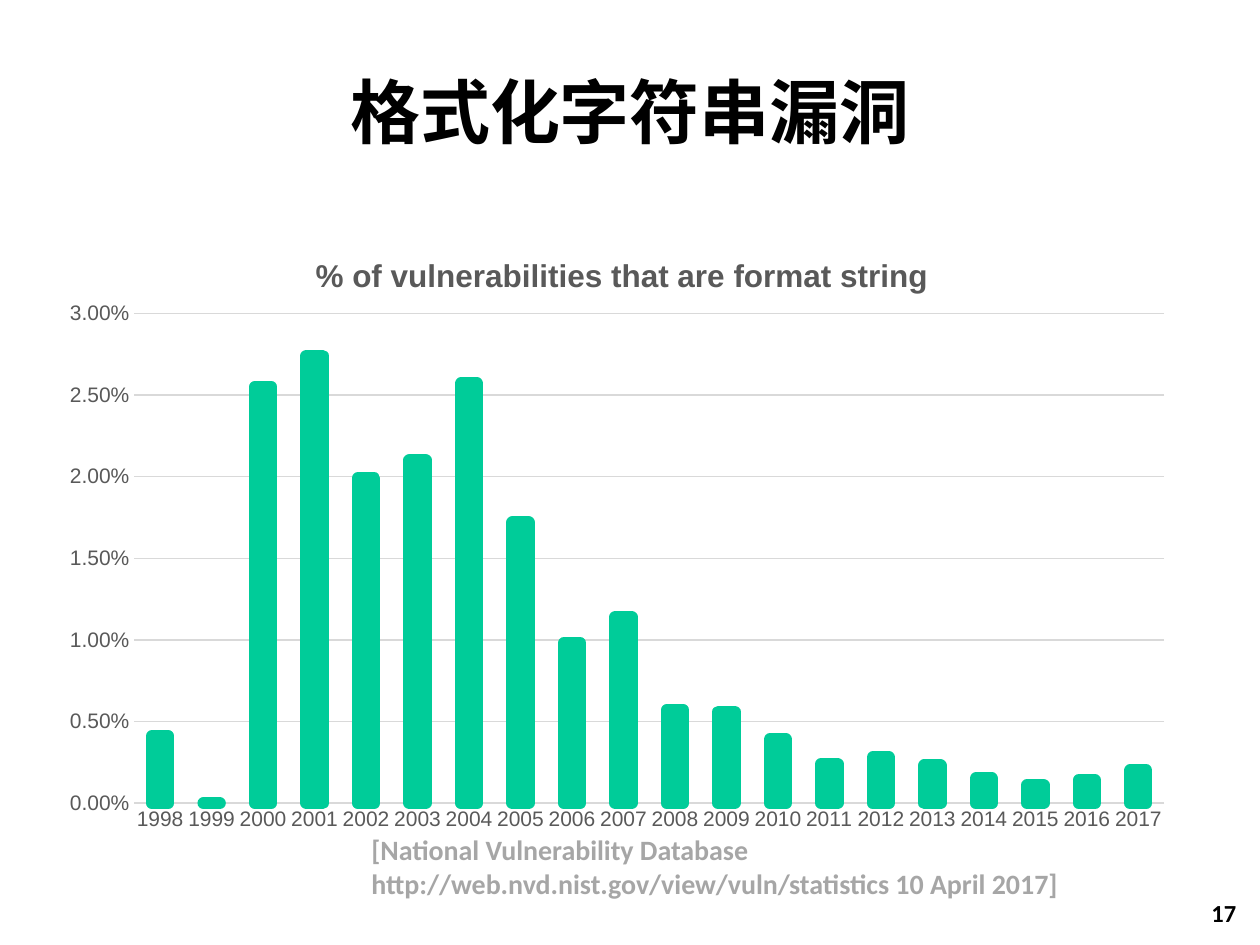
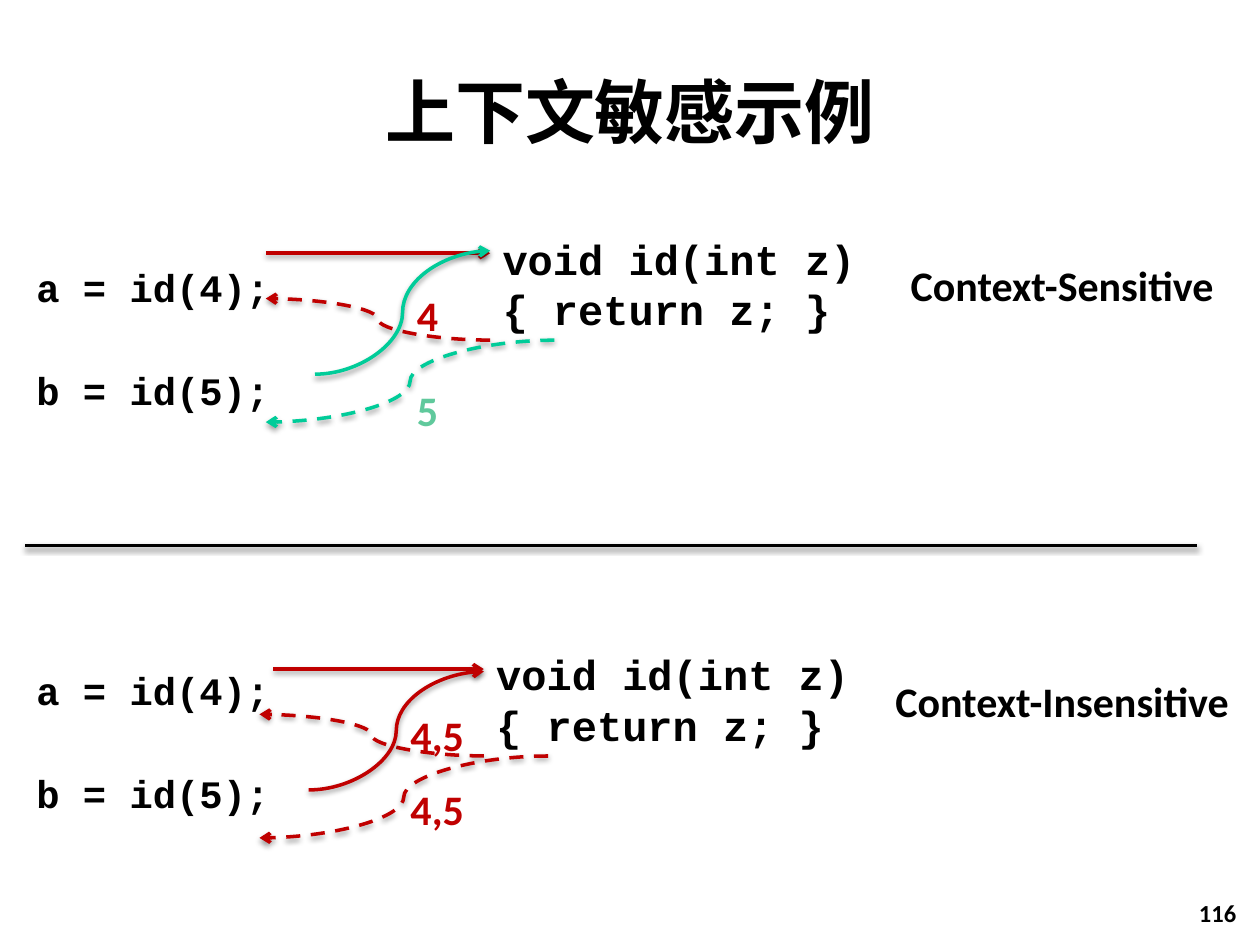
from dataclasses import dataclass

from lxml import etree
from pptx import Presentation
from pptx.chart.data import CategoryChartData
from pptx.dml.color import RGBColor
from pptx.enum.chart import XL_CHART_TYPE, XL_TICK_MARK
from pptx.enum.dml import MSO_LINE
from pptx.enum.lang import MSO_LANGUAGE_ID
from pptx.enum.shapes import MSO_CONNECTOR
from pptx.enum.text import MSO_ANCHOR, PP_ALIGN
from pptx.oxml import parse_xml
from pptx.oxml.ns import nsdecls, qn
from pptx.util import Inches, Pt

STRAIGHT, CURVE = MSO_CONNECTOR.STRAIGHT, MSO_CONNECTOR.CURVE
LEFT, CENTER, RIGHT = PP_ALIGN.LEFT, PP_ALIGN.CENTER, PP_ALIGN.RIGHT
TOP, MIDDLE = MSO_ANCHOR.TOP, MSO_ANCHOR.MIDDLE
DASH = MSO_LINE.DASH
NO_TICK = XL_TICK_MARK.NONE
CHINESE = MSO_LANGUAGE_ID.SIMPLIFIED_CHINESE
BLANK_LAYOUT = 6


@dataclass(frozen=True)
class Theme:
    text: str = "000000"
    source: str = "A6A6A6"
    chart_text: str = "595959"
    grid: str = "D9D9D9"
    red: str = "C00000"
    green: str = "00CC99"
    pale_green: str = "60C99C"
    body_font: str = "Calibri"
    code_font: str = "Courier New"
    chart_font: str = "Arial"
    title_size: float = 40
    label_size: float = 24
    call_size: float = 22.2
    chart_title_size: float = 18
    source_size: float = 16
    page_size: float = 14
    axis_size: float = 12
    line_width: float = 2


@dataclass(frozen=True)
class ContextPanel:
    """Values that differ between the two halves of the context slide."""
    heading: str
    shift_x: float
    shift_y: float
    calls_top: float
    call_start: float
    second_entry: float
    first_label: tuple
    second_label: tuple
    second_color: str


def color(value):
    return RGBColor.from_string(value)


def style_font(font, name, size, font_color, bold):
    font.name = name
    font.size = Pt(size)
    font.bold = bold
    font.color.rgb = color(font_color)


def set_layout(element, inner=False, **fractions):
    """Place a chart title or plot area by fractions of the chart."""
    old = element.find(qn("c:layout"))
    if old is not None:
        element.remove(old)
    layout = etree.Element(qn("c:layout"))
    manual = etree.SubElement(layout, qn("c:manualLayout"))
    settings = {"layoutTarget": "inner"} if inner else {}
    settings.update(xMode="edge", yMode="edge", **fractions)
    for tag, value in settings.items():
        etree.SubElement(manual, qn(f"c:{tag}")).set("val", str(value))
    text = element.find(qn("c:tx"))
    element.insert(0 if text is None else 1, layout)


class Deck:
    def __init__(self, theme):
        self.theme = theme
        self.presentation = Presentation()
        self.presentation.slide_width = Inches(10)
        self.presentation.slide_height = Inches(7.5)
        self.slide = None

    def add_slide(self, title, number):
        theme = self.theme
        layout = self.presentation.slide_layouts[BLANK_LAYOUT]
        self.slide = self.presentation.slides.add_slide(layout)
        self.text(title, 0.75, 0.25, 8.5, 1.25, size=theme.title_size,
                  align=CENTER, anchor=MIDDLE, language=CHINESE)
        self.text(str(number), 7.83, 7.08, 2.08, 0.4,
                  size=theme.page_size, align=RIGHT)

    def text(self, text, left, top, width, height, *, size, font=None,
             text_color=None, align=LEFT, anchor=TOP, gap=0, language=None):
        """Add bold text, one paragraph a line, with gap points between."""
        shape = self.slide.shapes.add_textbox(
            Inches(left), Inches(top), Inches(width), Inches(height))
        frame = shape.text_frame
        frame.word_wrap = True
        frame.vertical_anchor = anchor
        frame.text = text
        for index, paragraph in enumerate(frame.paragraphs):
            paragraph.alignment = align
            if index:
                paragraph.space_before = Pt(gap)
            for run in paragraph.runs:
                style_font(run.font, font or self.theme.body_font, size,
                           text_color or self.theme.text, True)
                if language:
                    run.font.language_id = language

    def line(self, start, end, line_color, kind=STRAIGHT, dash=None,
             arrow=True):
        connector = self.slide.shapes.add_connector(
            kind, *(Inches(value) for value in (*start, *end)))
        line = connector.line
        line.color.rgb = color(line_color)
        line.width = Pt(self.theme.line_width)
        if dash:
            line.dash_style = dash
        if arrow:
            line_element = connector.element.spPr.find(qn("a:ln"))
            etree.SubElement(line_element, qn("a:tailEnd")).set("type", "arrow")
        connector.element.spPr.append(parse_xml(
            f'<a:effectLst {nsdecls("a")}><a:outerShdw blurRad="40000" '
            'dist="20000" dir="5400000" rotWithShape="0">'
            '<a:srgbClr val="000000"><a:alpha val="38000"/></a:srgbClr>'
            '</a:outerShdw></a:effectLst>'))

    def column_chart(self, title, categories, values, left, top, width, height):
        theme = self.theme
        data = CategoryChartData(number_format="0.00%")
        data.categories = categories
        data.add_series("Series 1", values)
        chart = self.slide.shapes.add_chart(
            XL_CHART_TYPE.COLUMN_CLUSTERED, Inches(left), Inches(top),
            Inches(width), Inches(height), data).chart
        chart.has_legend = False
        style_font(chart.font, theme.chart_font, theme.axis_size,
                   theme.chart_text, False)

        chart.has_title = True
        title_frame = chart.chart_title.text_frame
        title_frame.text = title
        style_font(title_frame.paragraphs[0].runs[0].font, theme.chart_font,
                   theme.chart_title_size, theme.chart_text, True)
        set_layout(chart.chart_title.format and chart.element.find(
            f".//{qn('c:title')}"), x=0.23, y=0.04)
        set_layout(chart.element.find(f".//{qn('c:plotArea')}"), inner=True,
                   x=0.076, y=0.144, w=0.904, h=0.79)

        plot = chart.plots[0]
        plot.vary_by_categories = False
        plot.gap_width = 219
        plot.overlap = -27
        columns = plot.series[0].format
        columns.fill.solid()
        columns.fill.fore_color.rgb = color(theme.green)
        columns.line.color.rgb = color(theme.green)
        columns.line.width = Pt(7)
        outline = plot.series[0].format.line.fill and chart.element.find(
            f".//{qn('c:ser')}/{qn('c:spPr')}/{qn('a:ln')}")
        etree.SubElement(outline, qn("a:round"))

        value_axis, category_axis = chart.value_axis, chart.category_axis
        for axis in (value_axis, category_axis):
            axis.major_tick_mark = axis.minor_tick_mark = NO_TICK
            style_font(axis.tick_labels.font, theme.chart_font,
                       theme.axis_size, theme.chart_text, False)
        value_axis.minimum_scale = 0
        value_axis.maximum_scale = 0.03
        value_axis.major_unit = 0.005
        value_axis.tick_labels.number_format = "0.00%"
        value_axis.tick_labels.number_format_is_linked = False
        value_axis.format.line.fill.background()
        for line in (value_axis.major_gridlines.format.line,
                     category_axis.format.line):
            line.color.rgb = color(theme.grid)
            line.width = Pt(0.75)

    def context_panel(self, panel):
        """Draw two calls, the called function and the flow between them."""
        theme = self.theme

        def at(x, y):
            return x + panel.shift_x, y + panel.shift_y

        self.text("a = id(4);\nb = id(5);", 0.19, panel.calls_top, 2.52, 1.22,
                  size=theme.call_size, font=theme.code_font, gap=32.5)
        self.text("void id(int z)\n{ return z; }", *at(3.89, 1.8), 3.03, 0.91,
                  size=theme.label_size, font=theme.code_font)
        entry = at(3.89, 2.01)
        self.line((panel.call_start, entry[1]), entry, theme.red)
        self.line(at(3.89, 2.7), at(2.11, 2.37), theme.red, CURVE, DASH)
        self.line(at(2.5, 2.97), (entry[0], panel.second_entry),
                  panel.second_color, CURVE)
        self.line(at(4.4, 2.7), at(2.11, 3.35), panel.second_color, CURVE, DASH)
        for (value, top, label_color) in (panel.first_label,
                                          panel.second_label):
            self.text(value, 3.21 + panel.shift_x, top, 0.8, 0.5,
                      size=theme.label_size, text_color=label_color)
        self.text(panel.heading, 6.93, 2.01 + panel.shift_y, 3, 0.5,
                  size=theme.label_size, align=CENTER)


def main():
    theme = Theme()
    deck = Deck(theme)

    deck.add_slide("格式化字符串漏洞", 17)
    deck.text("[National Vulnerability Database "
              "http://web.nvd.nist.gov/view/vuln/statistics 10 April 2017]",
              2.85, 6.56, 6, 0.64, size=theme.source_size,
              text_color=theme.source)
    shares = (0.0041, 0, 0.0255, 0.0274, 0.0199, 0.021, 0.0257, 0.0172,
              0.0098, 0.0114, 0.0057, 0.0056, 0.0039, 0.0024, 0.0028,
              0.0023, 0.0015, 0.0011, 0.0014, 0.002)
    years = [str(year) for year in range(1998, 2018)]
    deck.column_chart("% of vulnerabilities that are format string",
                      years, shares, 0.38, 1.78, 9.04, 4.92)

    deck.add_slide("上下文敏感示例", 116)
    deck.context_panel(ContextPanel(
        "Context-Sensitive", shift_x=0, shift_y=0, calls_top=2.04,
        call_start=2.11, second_entry=1.99,
        first_label=("4", 2.25, theme.red),
        second_label=("5", 3, theme.pale_green), second_color=theme.green))
    deck.context_panel(ContextPanel(
        "Context-Insensitive", shift_x=-0.05, shift_y=3.3, calls_top=5.24,
        call_start=2.17, second_entry=5.33,
        first_label=("4,5", 5.58, theme.red),
        second_label=("4,5", 6.17, theme.red), second_color=theme.red))
    deck.line((0.2, 4.33), (9.5, 4.33), theme.text, arrow=False)

    deck.presentation.save("out.pptx")


if __name__ == "__main__":
    main()
